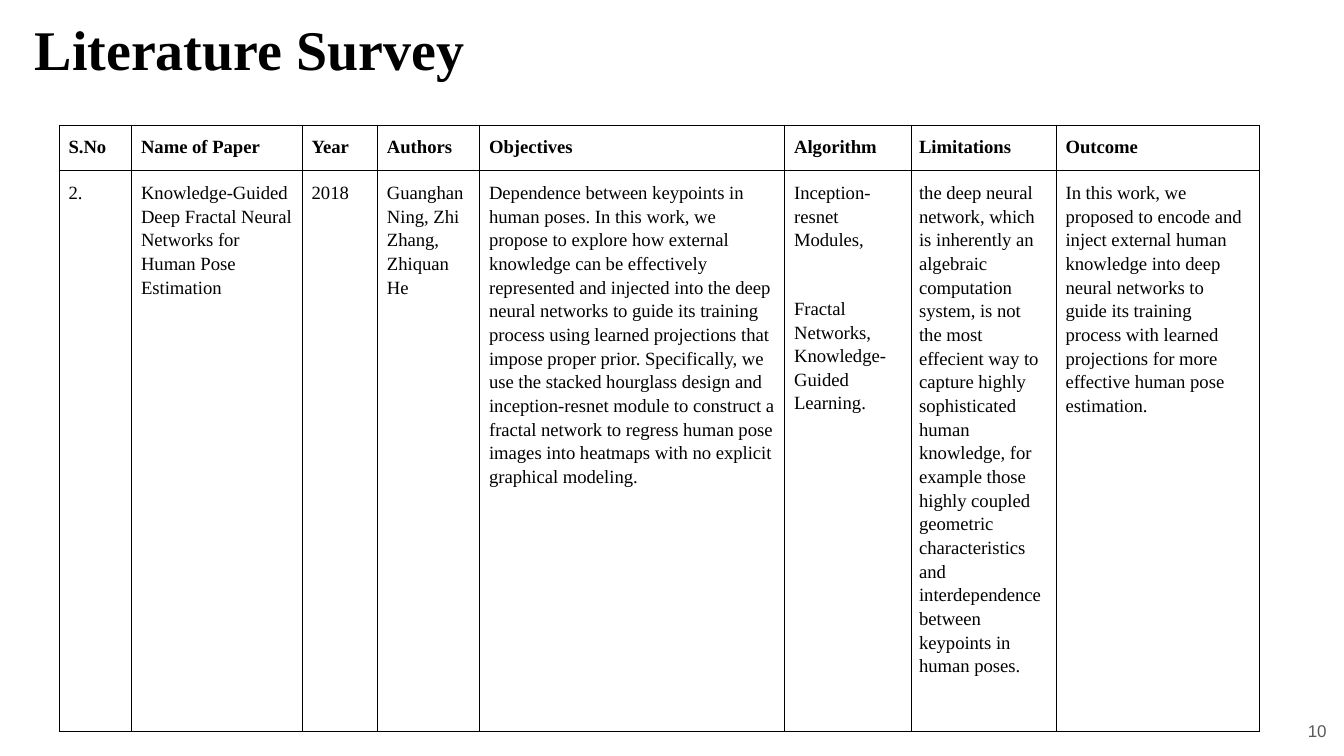
from lxml import etree
from pptx import Presentation, util as u
from pptx.dml.color import RGBColor
from pptx.enum import text as t
from pptx.oxml import ns

WIDTH = 10
HEIGHT = WIDTH * 9 / 16
SERIF, SANS = "Times New Roman", "Arial"
BLACK, GREY, WHITE = "000000", "595959", "FFFFFF"

SURVEY = [
    ("S.No", 0.54, ["2."]),
    ("Name of Paper", 1.27,
     ["Knowledge-Guided Deep Fractal Neural Networks for Human Pose Estimation"]),
    ("Year", 0.56, ["2018"]),
    ("Authors", 0.76, ["Guanghan Ning, Zhi Zhang, Zhiquan He"]),
    ("Objectives", 2.27,
     ["Dependence between keypoints in human poses. In this work, we propose to explore "
      "how external knowledge can be effectively represented and injected into the deep "
      "neural networks to guide its training process using learned projections that impose "
      "proper prior. Specifically, we use the stacked hourglass design and inception-resnet "
      "module to construct a fractal network to regress human pose images into heatmaps "
      "with no explicit graphical modeling."]),
    ("Algorithm", 0.94,
     ["Inception-resnet Modules,", "Fractal Networks, Knowledge-Guided Learning."]),
    ("Limitations", 1.08,
     ["the deep neural network, which is inherently an algebraic computation system, is not "
      "the most effecient way to capture highly sophisticated human knowledge, for example "
      "those highly coupled geometric characteristics and interdependence between keypoints "
      "in human poses."]),
    ("Outcome", 1.51,
     ["In this work, we proposed to encode and inject external human knowledge into deep "
      "neural networks to guide its training process with learned projections for more "
      "effective human pose estimation."]),
]


def colour(value):
    return RGBColor.from_string(value)


class SurveySlide:
    def __init__(self, deck):
        self.deck = deck
        self.slide = deck.slides.add_slide(deck.slide_layouts[5])

    def area(self, left, top, width, height):
        w, h = self.deck.slide_width, self.deck.slide_height
        return int(left * w), int(top * h), int(width * w), int(height * h)

    def style(self, paragraph, size, font, shade, bold=False, align=t.PP_ALIGN.LEFT):
        paragraph.alignment = align
        for run in paragraph.runs:
            run.font.size = u.Pt(size)
            run.font.name = font
            run.font.bold = bold
            run.font.color.rgb = colour(shade)

    def frame(self, shape, words):
        frame = shape.text_frame
        frame.text = words
        frame.word_wrap = True
        frame.auto_size = t.MSO_AUTO_SIZE.NONE
        frame.vertical_anchor = t.MSO_ANCHOR.MIDDLE
        frame.margin_left = frame.margin_right = u.Inches(0.1)
        frame.margin_top = frame.margin_bottom = u.Inches(0.1)
        return frame.paragraphs[0]

    def title(self, words, *shares):
        heading = self.slide.shapes.title
        heading.left, heading.top, heading.width, heading.height = self.area(*shares)
        self.style(self.frame(heading, words), 30, SERIF, BLACK, bold=True)

    def page_number(self, number, *shares):
        box = self.slide.shapes.add_textbox(*self.area(*shares))
        paragraph = self.frame(box, number)
        paragraph.line_spacing = 0.8
        self.style(paragraph, 9.1, SANS, GREY, align=t.PP_ALIGN.RIGHT)

    def borders(self, cell):
        properties = cell._tc.get_or_add_tcPr()
        for place, side in enumerate(("lnL", "lnR", "lnT", "lnB")):
            line = etree.Element(ns.qn(f"a:{side}"), w=str(u.Pt(0.6)))
            fill = etree.SubElement(line, ns.qn("a:solidFill"))
            etree.SubElement(fill, ns.qn("a:srgbClr"), val=BLACK)
            properties.insert(place, line)

    def fill_cell(self, cell, paragraphs, bold, left_margin):
        cell.fill.solid()
        cell.fill.fore_color.rgb = colour(WHITE)
        cell.margin_left = u.Inches(left_margin)
        cell.margin_right = cell.margin_top = cell.margin_bottom = u.Inches(0.07)
        cell.vertical_anchor = t.MSO_ANCHOR.TOP
        cell.text_frame.text = "\n".join(paragraphs)
        for paragraph in cell.text_frame.paragraphs:
            paragraph.line_spacing = 1.15
            paragraph.space_before = paragraph.space_after = u.Pt(12)
            self.style(paragraph, 10, SERIF, BLACK, bold)
        self.borders(cell)

    def table(self, survey, row_shares, *shares):
        grid = self.slide.shapes.add_table(2, len(survey), *self.area(*shares)).table
        grid.first_row = grid.horz_banding = False
        for row, share in zip(grid.rows, row_shares):
            row.height = int(share * self.deck.slide_height)
        for index, (heading, width, entry) in enumerate(survey):
            grid.columns[index].width = u.Inches(width)
            left_margin = 0.06 if heading == "Limitations" else 0.07
            self.fill_cell(grid.cell(0, index), [heading], True, left_margin)
            self.fill_cell(grid.cell(1, index), entry, False, left_margin)


def main():
    deck = Presentation()
    deck.slide_width, deck.slide_height = u.Inches(WIDTH), u.Inches(HEIGHT)
    survey = SurveySlide(deck)
    survey.title("Literature Survey", 0.16 / WIDTH, 0, 9.67 / WIDTH, 0.71 / HEIGHT)
    survey.page_number("10", 9.37 / WIDTH, 5.29 / HEIGHT, 0.6 / WIDTH, 0.32 / HEIGHT)
    survey.table(SURVEY, (0.34 / HEIGHT, 4.17 / HEIGHT),
                 0.44 / WIDTH, 0.93 / HEIGHT, 8.93 / WIDTH, 4.51 / HEIGHT)
    deck.save("out.pptx")


if __name__ == "__main__":
    main()
